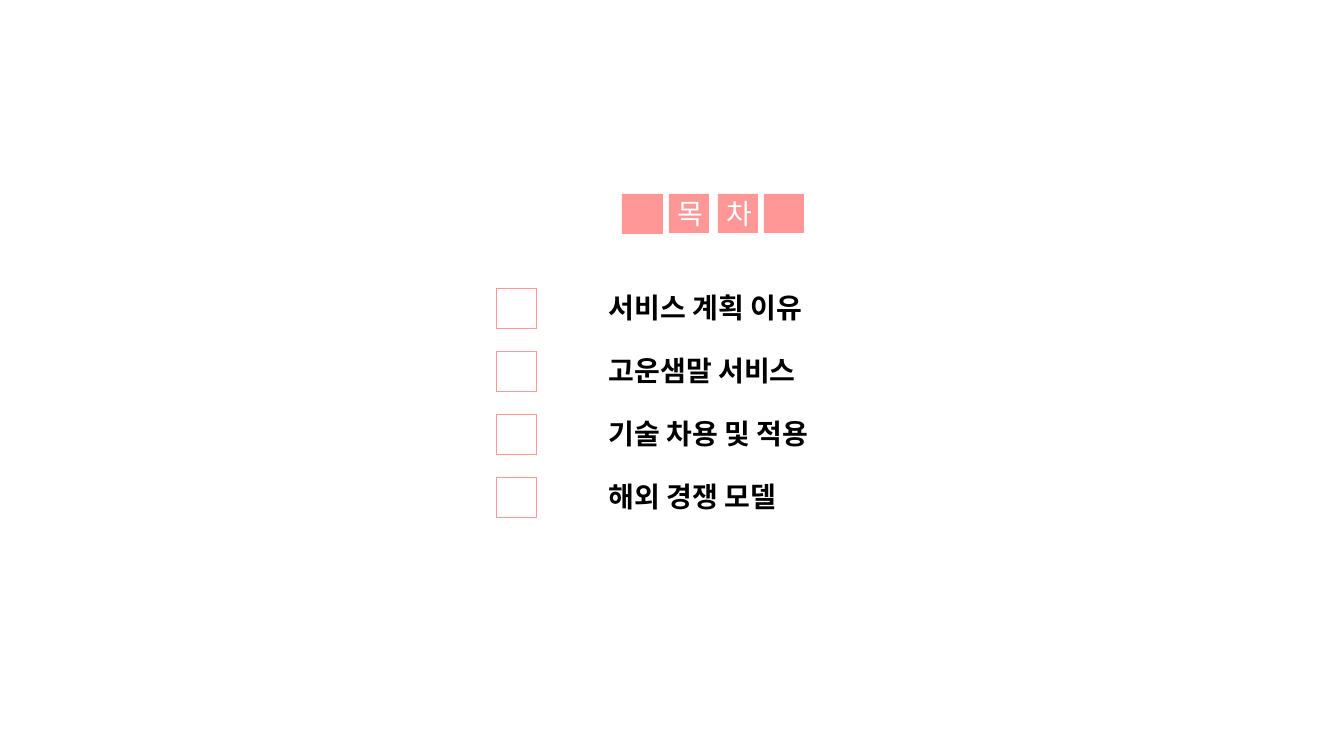
"""Build the table-of-contents slide."""
from dataclasses import dataclass

from pptx import Presentation
from pptx import util as u
from pptx.dml.color import RGBColor
from pptx.enum import shapes, text
from pptx.oxml import ns, xmlchemy

PX = 914400 / 100.8


@dataclass(frozen=True)
class Theme:
    """Colours, font and sizes."""
    pink: str = "FF9797"
    white: str = "FFFFFF"
    black: str = "000000"
    font: str = "Noto Sans CJK KR"
    size: int = 20
    line: float = 0.25


def px(*lengths):
    """Turn pixels into EMU."""
    return [u.Emu(round(n * PX)) for n in lengths]


def write(tf, words, *, theme, color, bold=False, spacing=0, wrap=True):
    """Write one formatted line into a text frame."""
    tf.word_wrap = wrap
    tf.auto_size = text.MSO_AUTO_SIZE.NONE
    tf.vertical_anchor = text.MSO_ANCHOR.TOP
    p = tf.paragraphs[0]
    p.alignment = text.PP_ALIGN.LEFT
    r = p.add_run()
    r.text = words
    r.font.name = theme.font
    r.font.size = u.Pt(theme.size)
    r.font.bold = bold
    r.font.color.rgb = RGBColor.from_string(color)
    rpr = r.font._element
    ea = xmlchemy.OxmlElement("a:ea")
    ea.set("typeface", theme.font)
    rpr.find(ns.qn("a:latin")).addnext(ea)
    if spacing:
        rpr.set("spc", str(round(spacing * 100)))


class Deck:
    """Hold the theme and the current slide."""

    def __init__(self, prs, theme):
        """Open a title-only slide."""
        self.theme = theme
        self.s = prs.slides.add_slide(prs.slide_layouts[5])

    def box(self, x, y, w, h, fill=None, line=None):
        """Add a rectangle with optional fill and outline."""
        sp = self.s.shapes.add_shape(shapes.MSO_SHAPE.RECTANGLE, *px(x, y, w, h))
        sp.shadow.inherit = False
        if fill:
            sp.fill.solid()
            sp.fill.fore_color.rgb = RGBColor.from_string(fill)
        else:
            sp.fill.background()
        if line:
            sp.line.color.rgb = RGBColor.from_string(line)
            sp.line.width = u.Pt(self.theme.line)
        else:
            sp.line.fill.background()

    def label(self, words, x, y, w, h, **fmt):
        """Add a text box."""
        sp = self.s.shapes.add_textbox(*px(x, y, w, h))
        write(sp.text_frame, words, theme=self.theme, **fmt)

    def title(self, words, x, y, w, h, **fmt):
        """Place the title in front of the shapes drawn so far."""
        sp = self.s.shapes.title
        sp.left, sp.top, sp.width, sp.height = px(x, y, w, h)
        write(sp.text_frame, words, theme=self.theme, **fmt)
        sp.element.getparent().append(sp.element)


def main():
    """Draw the slide and save it."""
    prs = Presentation()
    prs.slide_width, prs.slide_height = px(1344, 756)
    t = Theme()
    deck = Deck(prs, t)

    for x in (622, 669, 718, 764):
        deck.box(x, 194, 40, 39, fill=t.pink, line=t.pink if x == 622 else None)
    deck.title("목 차", 667, 191, 110, 44, color=t.white, spacing=6.3, wrap=False)

    topics = ("서비스 계획 이유", "고운샘말 서비스", "기술 차용 및 적용", "해외 경쟁 모델")
    for i, topic in enumerate(topics):
        y = 288 + 63 * i
        deck.box(496, y, 40, 40, line=t.pink)
        deck.label(topic, 599, y - 2, 417, 44, color=t.black, bold=True)

    prs.save("out.pptx")


if __name__ == "__main__":
    main()
